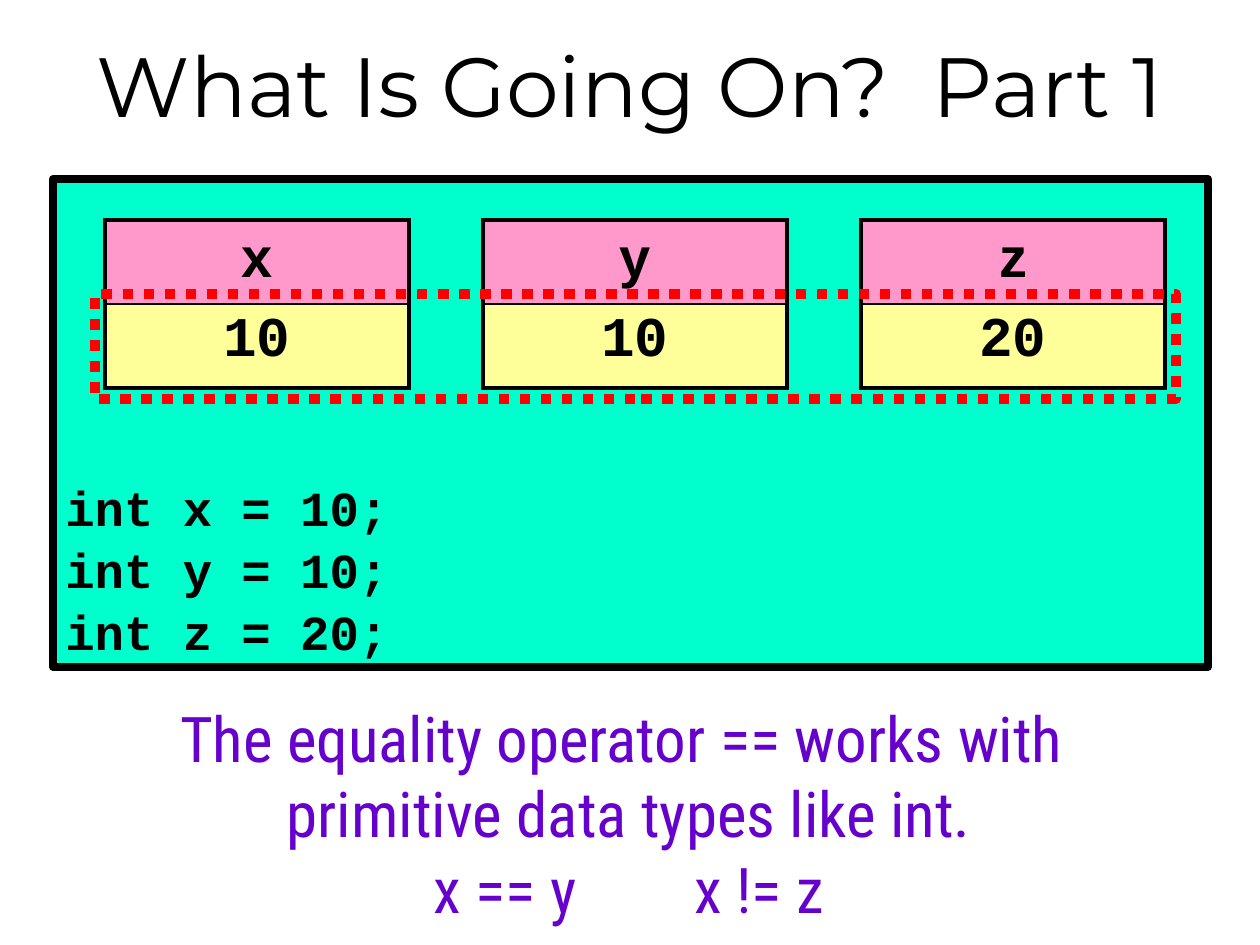
from dataclasses import dataclass

import lxml.etree
import pptx
import pptx.dml.color
import pptx.enum.dml
import pptx.enum.shapes
import pptx.enum.text
import pptx.oxml.ns
import pptx.util

PX = 914400 / 126
COLORS = {
    "ink": "000000",
    "panel": "00FFCC",
    "name": "FF99CC",
    "value": "FFFF99",
    "highlight": "FF0000",
    "note": "6600CC",
}
CENTER = pptx.enum.text.PP_ALIGN.CENTER
LEFT = pptx.enum.text.PP_ALIGN.LEFT
MIDDLE = pptx.enum.text.MSO_ANCHOR.MIDDLE
BOTTOM = pptx.enum.text.MSO_ANCHOR.BOTTOM
TOP = pptx.enum.text.MSO_ANCHOR.TOP


@dataclass
class Box:
    x: int
    y: int
    w: int
    h: int

    def emu(self) -> list[pptx.util.Emu]:
        return [pptx.util.Emu(round(v * PX)) for v in (self.x, self.y, self.w, self.h)]


@dataclass
class Style:
    font: str
    size: int
    color: str = "ink"
    bold: bool = False


@dataclass
class Variable:
    name: str
    value: str


def rgb(key: str) -> pptx.dml.color.RGBColor:
    return pptx.dml.color.RGBColor.from_string(COLORS[key])


def add_run(p, text: str, style: Style):
    r = p.add_run()
    r.text = text
    r.font.name = style.font
    r.font.size = pptx.util.Pt(style.size)
    r.font.bold = style.bold
    r.font.color.rgb = rgb(style.color)
    return r


def add_lines(tf, lines: list[str], style: Style, align, anchor=TOP, spacing: float = 1.0) -> None:
    tf.vertical_anchor = anchor
    for i, line in enumerate(lines):
        p = tf.add_paragraph() if i else tf.paragraphs[0]
        p.alignment = align
        p.line_spacing = spacing
        add_run(p, line, style)


def add_text(s, box: Box, lines: list[str], style: Style, anchor=TOP, wrap: bool = True):
    tf = s.shapes.add_textbox(*box.emu()).text_frame
    tf.word_wrap = wrap
    add_lines(tf, lines, style, CENTER, anchor)
    return tf


def add_rect(s, box: Box, fill: str | None, line: str, width: float):
    sp = s.shapes.add_shape(pptx.enum.shapes.MSO_SHAPE.RECTANGLE, *box.emu())
    sp.shadow.inherit = False
    if fill:
        sp.fill.solid()
        sp.fill.fore_color.rgb = rgb(fill)
    else:
        sp.fill.background()
    sp.line.color.rgb = rgb(line)
    sp.line.width = pptx.util.Pt(width)
    return sp


def add_border(cell, side: str, width: float) -> None:
    qn = pptx.oxml.ns.qn
    tc_pr = cell._tc.get_or_add_tcPr()
    ln = lxml.etree.SubElement(tc_pr, qn(f"a:ln{side}"), w=str(pptx.util.Pt(width)))
    fill = lxml.etree.SubElement(ln, qn("a:solidFill"))
    lxml.etree.SubElement(fill, qn("a:srgbClr"), val=COLORS["ink"])


def add_variable(s, box: Box, var: Variable) -> None:
    table = s.shapes.add_table(2, 1, *box.emu()).table
    table.first_row = False
    table.horz_banding = False
    rows = [
        (var.name, "name", "Arial", 2.25, 1),
        (var.value, "value", "Courier New", 1, 2.25),
    ]
    for i, (text, fill, font, top, bottom) in enumerate(rows):
        cell = table.cell(i, 0)
        for side, width in zip("LRTB", (2.25, 2.25, top, bottom)):
            add_border(cell, side, width)
        cell.fill.solid()
        cell.fill.fore_color.rgb = rgb(fill)
        add_lines(cell.text_frame, [text], Style(font, 32, bold=True), CENTER)


def main() -> None:
    prs = pptx.Presentation()
    prs.slide_width, prs.slide_height = Box(0, 0, 1260, 945).emu()[2:]
    s = prs.slides.add_slide(prs.slide_layouts[6])
    variables = [Variable("x", "10"), Variable("y", "10"), Variable("z", "20")]

    panel = add_rect(s, Box(53, 179, 1155, 488), "panel", "ink", 4.5)
    code = [f"int {var.name} = {var.value};" for var in variables]
    add_lines(panel.text_frame, code, Style("Courier New", 28, bold=True), LEFT, BOTTOM, 1.06)

    add_text(s, Box(0, 0, 1260, 168), ["What Is Going On?  Part 1"], Style("Montserrat", 48), MIDDLE)

    for i, var in enumerate(variables):
        add_variable(s, Box(105 + 378 * i, 220, 304, 168), var)

    note = Style("Roboto Condensed", 36, "note")
    lines = ["The equality operator == works with ", "primitive data types like int."]
    tf = add_text(s, Box(32, 693, 1194, 231), lines, note, wrap=False)
    p = tf.add_paragraph()
    p.alignment = CENTER
    add_run(p, "x == y", note)
    gap = add_run(p, " ", note)
    gap.font._element.set("spc", "5900")
    add_run(p, "x != z", note)

    frame = add_rect(s, Box(95, 294, 1081, 105), None, "highlight", 6)
    frame.line.dash_style = pptx.enum.dml.MSO_LINE.ROUND_DOT

    prs.save("out.pptx")


if __name__ == "__main__":
    main()
